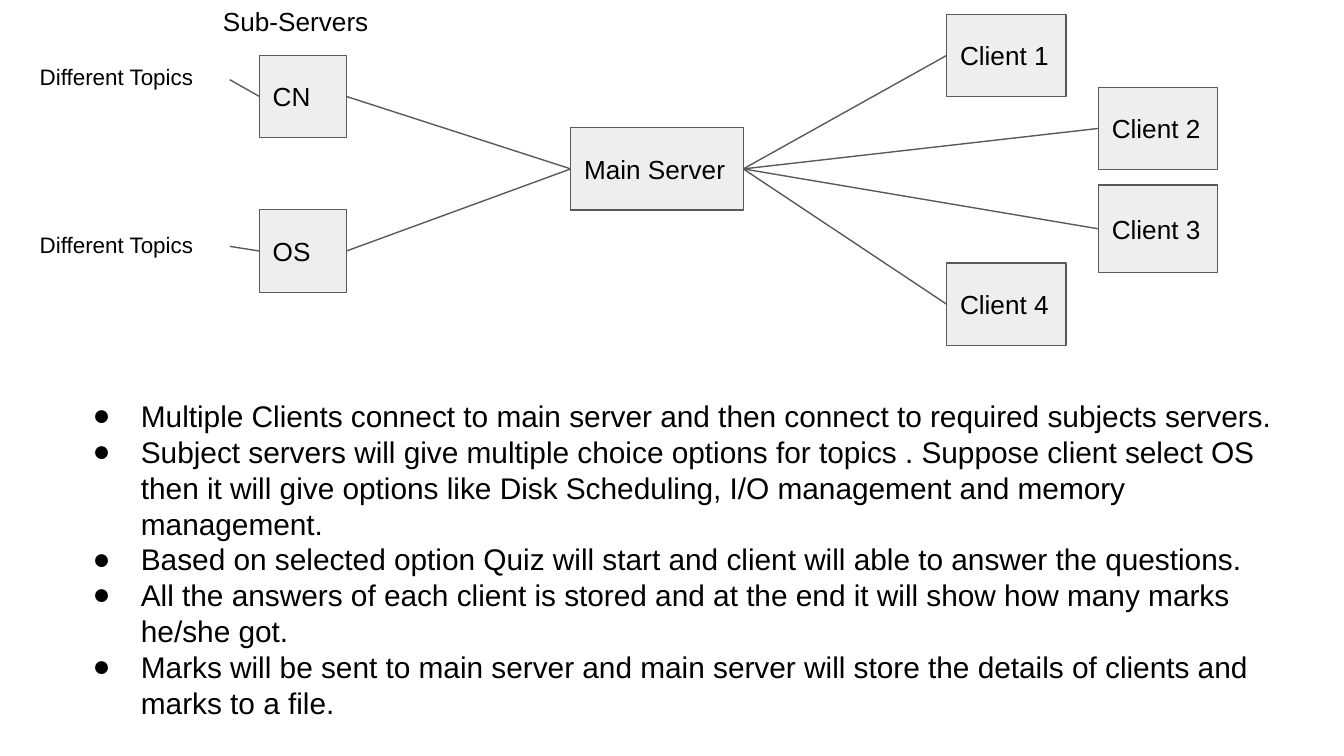
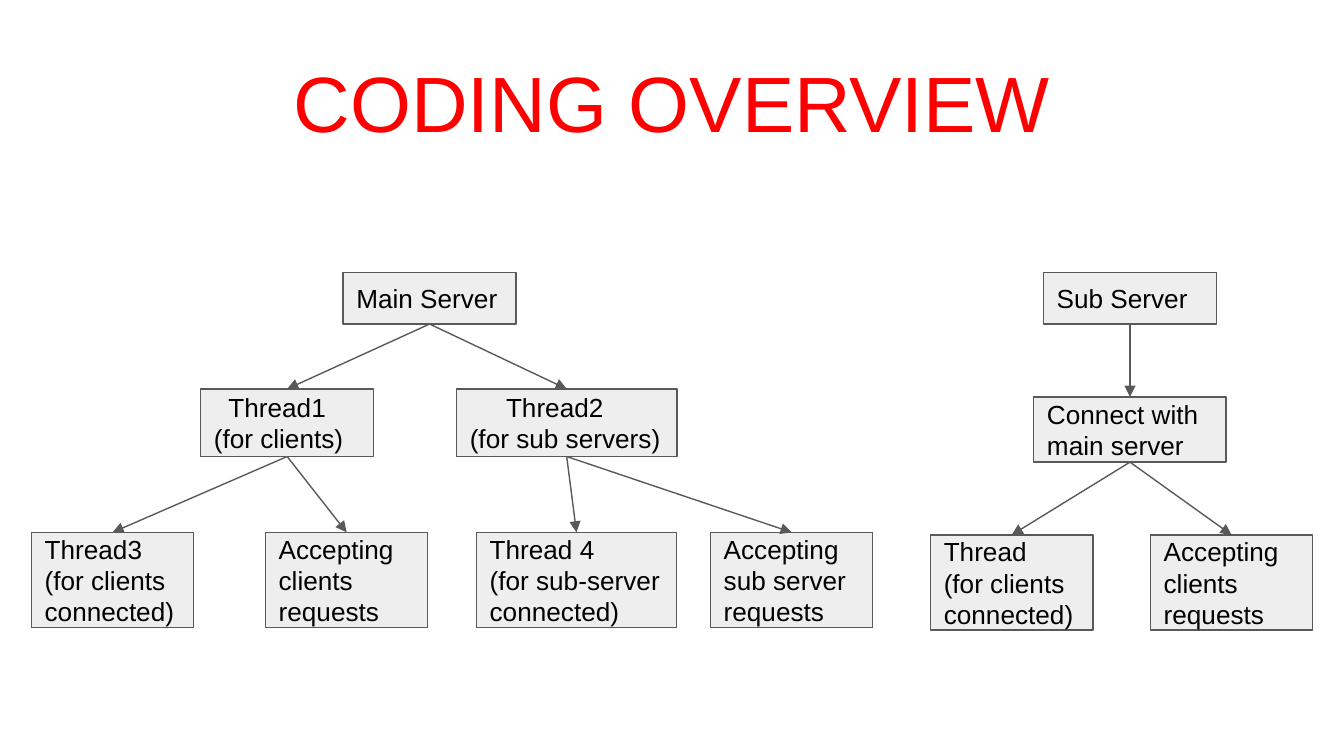
from lxml.etree import SubElement
from pptx import Presentation
from pptx.dml.color import RGBColor
from pptx.enum.shapes import MSO_CONNECTOR, MSO_SHAPE
from pptx.enum.text import MSO_ANCHOR, PP_ALIGN
from pptx.oxml.ns import qn
from pptx.util import Pt

COLORS = {"box": "EEEEEE", "line": "595959", "text": "000000", "title": "FF0000"}
FONT = "Arial"
INSET = 7.2
TOP, LEFT, BOTTOM, RIGHT = range(4)


def add_text(slide, bounds, lines, size=14, color="text", boxed=False):
    """Add a plain text box, or a filled rectangle when boxed."""
    lengths = [Pt(value) for value in bounds]
    if boxed:
        shape = slide.shapes.add_shape(MSO_SHAPE.RECTANGLE, *lengths)
        shape.shadow.inherit = False
        shape.fill.solid()
        shape.fill.fore_color.rgb = RGBColor.from_string(COLORS["box"])
        shape.line.color.rgb = RGBColor.from_string(COLORS["line"])
        shape.line.width = Pt(0.75)
    else:
        shape = slide.shapes.add_textbox(*lengths)
    frame = shape.text_frame
    frame.word_wrap = True
    frame.vertical_anchor = MSO_ANCHOR.MIDDLE if boxed else MSO_ANCHOR.TOP
    frame.margin_left = frame.margin_right = Pt(INSET)
    frame.margin_top = frame.margin_bottom = Pt(INSET)
    frame.text = "\n".join(lines)
    for paragraph in frame.paragraphs:
        paragraph.alignment = PP_ALIGN.LEFT
        paragraph.font.size = Pt(size)
        paragraph.font.name = FONT
        paragraph.font.color.rgb = RGBColor.from_string(COLORS[color])
    return shape


def add_link(slide, source, source_side, target=None, target_side=None, point=(0, 0), arrow=False):
    """Join a box side to another box side, or to a free point."""
    x, y = (Pt(value) for value in point)
    connector = slide.shapes.add_connector(MSO_CONNECTOR.STRAIGHT, x, y, x, y)
    connector.begin_connect(source, source_side)
    if target is not None:
        connector.end_connect(target, target_side)
    connector.line.color.rgb = RGBColor.from_string(COLORS["line"])
    connector.line.width = Pt(0.75)
    properties = connector._element.spPr
    if arrow:
        SubElement(properties.find(qn("a:ln")), qn("a:tailEnd"), type="triangle")
    SubElement(properties, qn("a:effectLst"))


presentation = Presentation()
presentation.slide_width = Pt(720)
presentation.slide_height = Pt(405)
blank_layout = presentation.slide_layouts[6]

# Slide 1: network of servers and clients
slide = presentation.slides.add_slide(blank_layout)
main_server = add_text(slide, (305.8, 68.4, 92.4, 44.2), ["Main Server"], boxed=True)

# Sub-servers, each with its topics label
add_text(slide, (112.3, -4.5, 108.7, 33.8), ["Sub-Servers"])
for name, top, label_top, stub_y in [("CN", 29.6, 26.6, 42.7), ("OS", 112.4, 116.6, 132)]:
    sub_server = add_text(slide, (139, top, 46.6, 44.2), [name], boxed=True)
    add_text(slide, (14.2, label_top, 108.7, 32.4), ["Different Topics"], size=12)
    add_link(slide, sub_server, LEFT, point=(123.1, stub_y))
    add_link(slide, sub_server, RIGHT, main_server, LEFT)

# Clients
client_places = [(507.2, 7.7, 44), (588.5, 46.8, 44), (588.5, 99.1, 47), (507.2, 141, 44)]
for number, (left, top, height) in enumerate(client_places, start=1):
    client = add_text(slide, (left, top, 63.8, height), [f"Client {number}"], boxed=True)
    add_link(slide, main_server, RIGHT, client, LEFT)

# Bullets
bullets = add_text(slide, (32.4, 205.9, 673.2, 178.6), [
    "Multiple Clients connect to main server and then connect to required subjects servers.",
    "Subject servers will give multiple choice options for topics . Suppose client select OS "
    "then it will give options like Disk Scheduling, I/O management and memory management.",
    "Based on selected option Quiz will start and client will able to answer the questions.",
    "All the answers of each client is stored and at the end it will show how many marks "
    "he/she got.",
    "Marks will be sent to main server and main server will store the details of clients and "
    "marks to a file.",
], size=16)
for paragraph in bullets.text_frame.paragraphs:
    properties = paragraph._p.get_or_add_pPr()
    properties.set("marL", str(Pt(36)))
    properties.set("indent", str(Pt(-25.9)))
    bullet_color = SubElement(properties, qn("a:buClr"))
    SubElement(bullet_color, qn("a:srgbClr"), val=COLORS["text"])
    SubElement(properties, qn("a:buFont"), typeface=FONT)
    SubElement(properties, qn("a:buChar"), char="●")

# Slide 2: coding overview
slide = presentation.slides.add_slide(blank_layout)
title = add_text(slide, (0, 21.6, 720, 74.9), ["CODING OVERVIEW"], size=42, color="title")
title.text_frame.paragraphs[0].alignment = PP_ALIGN.CENTER

# Tree nodes: key, bounds, lines, parent key
client_thread = "(for clients connected)"
accept_clients = "Accepting clients requests"
nodes = [
    ("main", (183.8, 146, 92.7, 27.6), ["Main Server"], None),
    ("thread1", (107.5, 208.4, 92.7, 36.2), ["Thread1", "(for clients)"], "main"),
    ("thread2", (244.6, 208.4, 118, 36.2), ["Thread2", "(for sub servers)"], "main"),
    ("thread3", (16.8, 285.2, 87, 51), ["Thread3", client_thread], "thread1"),
    ("accept1", (142.2, 285.2, 87, 51), [accept_clients], "thread1"),
    ("thread4", (255.2, 285.2, 107.3, 51), ["Thread 4", "(for sub-server connected)"], "thread2"),
    ("accept2", (380.6, 285.2, 87, 51), ["Accepting sub server requests"], "thread2"),
    ("sub", (559, 146, 92.7, 27.6), ["Sub Server"], None),
    ("connect", (553.8, 212.6, 103.1, 35), ["Connect with main server"], "sub"),
    ("thread", (498.5, 286.6, 87, 51), ["Thread", client_thread], "connect"),
    ("accept3", (616.3, 286.6, 87, 51), [accept_clients], "connect"),
]
boxes = {}
for key, bounds, lines, parent in nodes:
    boxes[key] = add_text(slide, bounds, lines, boxed=True)
    if parent:
        add_link(slide, boxes[parent], BOTTOM, boxes[key], TOP, arrow=True)

# Headings set in from the line below
for key, indent in [("thread1", 7.8), ("thread2", 19.4)]:
    heading = boxes[key].text_frame.paragraphs[0]
    heading._p.get_or_add_pPr().set("marL", str(Pt(indent)))

presentation.save("out.pptx")
